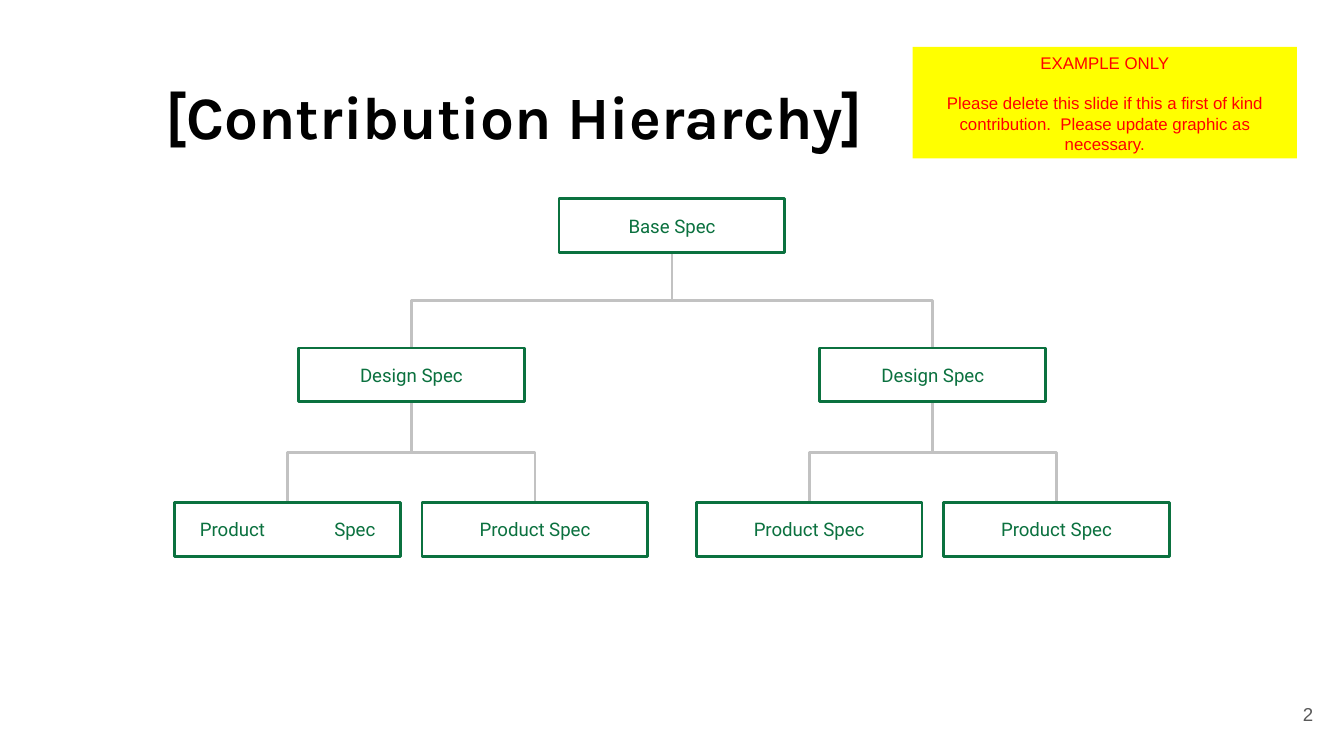
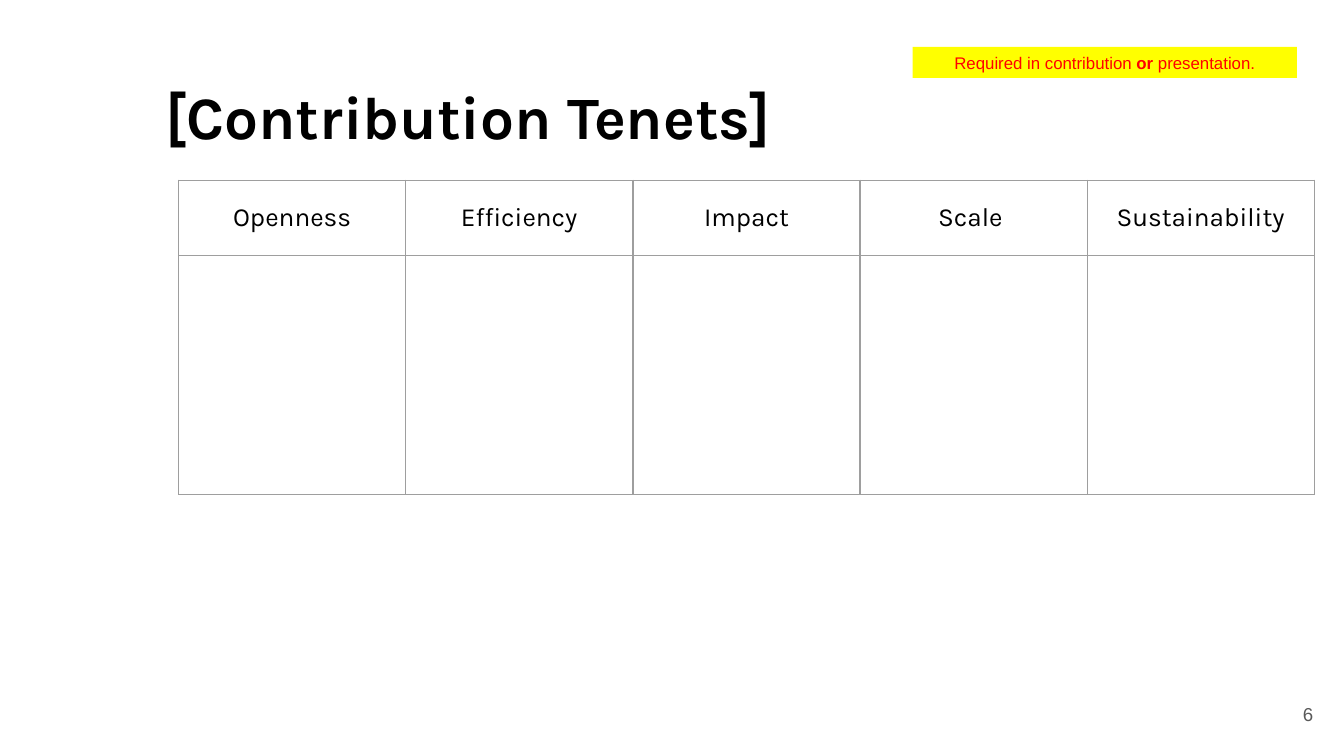
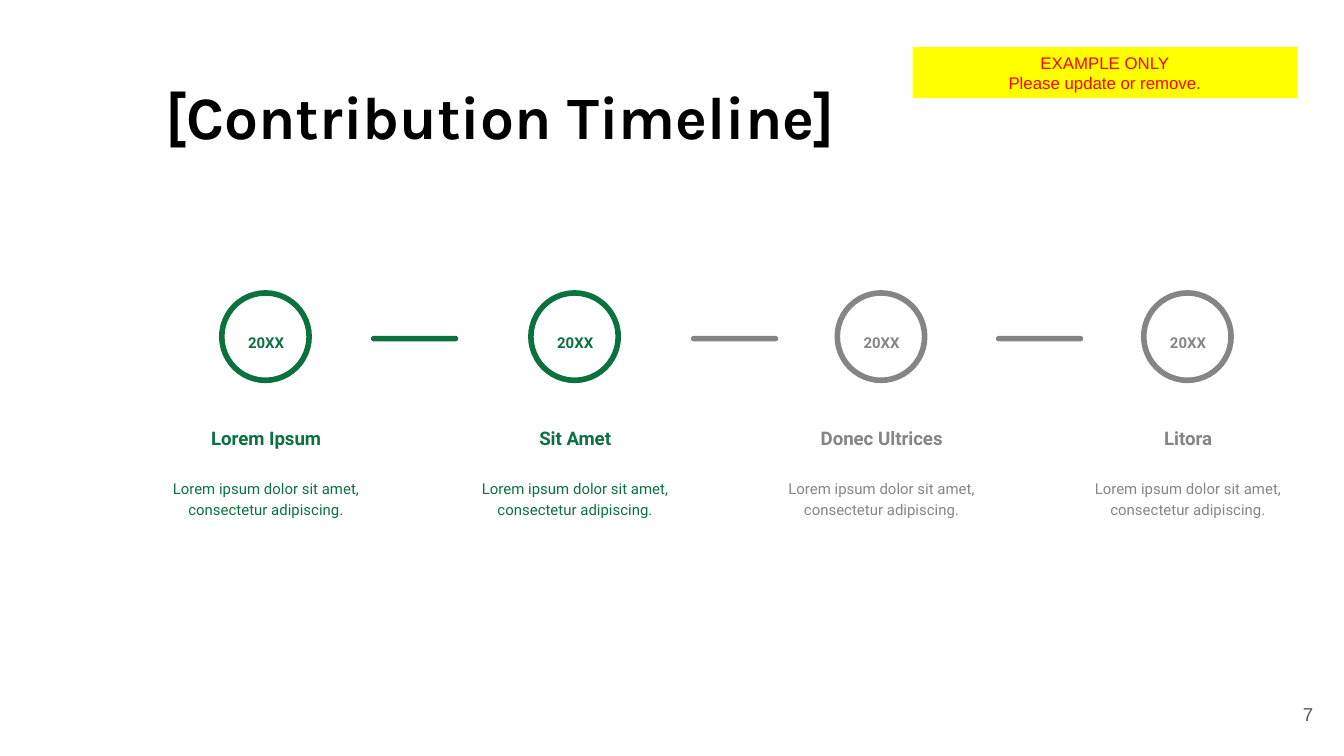
from lxml import etree
from pptx import Presentation
from pptx.dml.color import RGBColor
from pptx.enum.shapes import MSO_CONNECTOR, MSO_SHAPE
from pptx.enum.text import MSO_ANCHOR, MSO_AUTO_SIZE, PP_ALIGN
from pptx.oxml.ns import qn
from pptx.util import Inches, Pt

RECT, OVAL, PILL = MSO_SHAPE.RECTANGLE, MSO_SHAPE.OVAL, MSO_SHAPE.ROUNDED_RECTANGLE
ELBOW = MSO_CONNECTOR.ELBOW
LEFT, CENTER, RIGHT = PP_ALIGN.LEFT, PP_ALIGN.CENTER, PP_ALIGN.RIGHT
TOP, MIDDLE, BOTTOM = MSO_ANCHOR.TOP, MSO_ANCHOR.MIDDLE, MSO_ANCHOR.BOTTOM
NO_FIT, GROW = MSO_AUTO_SIZE.NONE, MSO_AUTO_SIZE.SHAPE_TO_FIT_TEXT

COLORS = {
    "black": "000000", "green": "0B713F", "gray": "858585", "link": "C2C2C2",
    "border": "9E9E9E", "number": "595959", "yellow": "FFFF00", "red": "FF0000",
}
TITLE_FONT, BODY_FONT, NOTE_FONT = "Karla", "Roboto", "Arial"


# Shared helpers
def rgb(name):
    return RGBColor.from_string(COLORS[name])


def place(sp, x, y, w, h):
    sp.left, sp.top, sp.width, sp.height = (Inches(v) for v in (x, y, w, h))


def set_frame(tf, anchor=TOP, inset=0.1, fit=NO_FIT):
    tf.word_wrap = True
    tf.auto_size = fit
    tf.vertical_anchor = anchor
    tf.margin_left = tf.margin_right = Inches(inset)
    tf.margin_top = tf.margin_bottom = Inches(inset)


def style(p, font, size, color, align=CENTER, bold=False):
    p.alignment = align
    p.font.name, p.font.size, p.font.bold = font, Pt(size), bold
    p.font.color.rgb = rgb(color)


def add_text(shapes, text, box, font, size, color, align=CENTER, anchor=TOP, bold=False):
    sp = shapes.add_textbox(*(Inches(v) for v in box))
    set_frame(sp.text_frame, anchor)
    p = sp.text_frame.paragraphs[0]
    p.text = text
    style(p, font, size, color, align, bold)
    return p


def add_shape(shapes, kind, box, fill=None, line=None, width=1.5):
    sp = shapes.add_shape(kind, *(Inches(v) for v in box))
    sp.shadow.inherit = False
    if fill:
        sp.fill.solid()
        sp.fill.fore_color.rgb = rgb(fill)
    else:
        sp.fill.background()
    if line:
        sp.line.color.rgb = rgb(line)
        sp.line.width = Pt(width)
    else:
        sp.line.fill.background()
    return sp


def add_slide(prs, title, number):
    s = prs.slides.add_slide(prs.slide_layouts[5])
    place(s.shapes.title, 1.13, 0.49, 8.53, 0.63)
    tf = s.shapes.title.text_frame
    set_frame(tf)
    p = tf.paragraphs[0]
    p.text = title
    style(p, TITLE_FONT, 32.2, "black", LEFT, True)
    add_text(s.shapes, number, (9.27, 5.1, 0.6, 0.43), NOTE_FONT, 10, "number", RIGHT, MIDDLE)
    return s


def add_note(s, height, paragraphs, gap=0):
    """Yellow note; each paragraph is a list of (text, bold) runs."""
    sp = add_shape(s.shapes, RECT, (6.79, 0.35, 2.86, height), fill="yellow")
    tf = sp.text_frame
    set_frame(tf, inset=0.04, fit=GROW)
    for i, runs in enumerate(paragraphs):
        p = tf.add_paragraph() if i else tf.paragraphs[0]
        if i and gap:
            p.space_before = Pt(gap)
        style(p, NOTE_FONT, 9, "red")
        for text, bold in runs:
            r = p.add_run()
            r.text = text
            if bold:
                r.font.bold = True


# Hierarchy
def add_node(s, text, center, y, w=1.68, h=0.4):
    sp = add_shape(s.shapes, RECT, (center - w / 2, y, w, h), line="green")
    set_frame(sp.text_frame, MIDDLE)
    p = sp.text_frame.paragraphs[0]
    p.text = text
    if "\t" in text:
        tabs = etree.SubElement(p._p.get_or_add_pPr(), qn("a:tabLst"))
        etree.SubElement(tabs, qn("a:tab"), pos=str(Inches(1)), algn="l")
    style(p, BODY_FONT, 10, "green")
    return sp


def link_nodes(s, parent, child):
    """Elbow that leaves the parent downwards: a turned box around its centre."""
    c = s.shapes.add_connector(ELBOW, 0, 0, 0, 0)
    c.begin_connect(parent, 2)
    c.end_connect(child, 0)
    x1, y1 = parent.left + parent.width // 2, parent.top + parent.height
    x2, y2 = child.left + child.width // 2, child.top
    c.width, c.height = y2 - y1, abs(x2 - x1)
    c.left = (x1 + x2 - c.width) // 2
    c.top = (y1 + y2 - c.height) // 2
    to_right = x2 > x1
    xfrm = c._element.spPr.find(qn("a:xfrm"))
    xfrm.set("rot", "16200000" if to_right else "5400000")
    xfrm.set("flipH", "1" if to_right else "0")
    xfrm.set("flipV", "0")
    c.line.color.rgb = rgb("link")
    c.line.width = Pt(1.5)
    etree.SubElement(c._element.spPr, qn("a:effectLst"))
    # Links lie behind the nodes
    parent_tree = c._element.getparent()
    parent_tree.insert(parent_tree.index(s.shapes.title._element) + 1, c._element)


def hierarchy_slide(prs):
    s = add_slide(prs, "[Contribution Hierarchy]", "2")
    middle, design_offset, product_offset = 5, 1.94, 0.92
    base = add_node(s, "Base Spec", middle, 1.48)
    for side in (-1, 1):
        x = middle + side * design_offset
        design = add_node(s, "Design Spec", x, 2.59)
        link_nodes(s, base, design)
        for turn in (-1, 1):
            text = "Product\tSpec" if side == turn == -1 else "Product Spec"
            product = add_node(s, text, x + turn * product_offset, 3.74)
            link_nodes(s, design, product)
    add_note(s, 0.83, [
        [("EXAMPLE ONLY", False)],
        [("Please delete this slide if this a first of kind contribution.  "
          "Please update graphic as necessary.", False)],
    ], gap=11)


# Tenets
def set_borders(cell):
    tcPr = cell._tc.get_or_add_tcPr()
    for i, side in enumerate(("a:lnL", "a:lnR", "a:lnT", "a:lnB")):
        ln = etree.Element(qn(side), w=str(Pt(0.75)))
        fill = etree.SubElement(ln, qn("a:solidFill"))
        etree.SubElement(fill, qn("a:srgbClr"), val=COLORS["border"])
        tcPr.insert(i, ln)


def add_tenets(s, x, y, names, col_width=1.69, row_heights=(0.56, 1.78)):
    table = s.shapes.add_table(
        len(row_heights), len(names), Inches(x), Inches(y),
        Inches(col_width * len(names)), Inches(sum(row_heights))).table
    table.first_row = table.horz_banding = False
    for col in table.columns:
        col.width = Inches(col_width)
    for row, height in zip(table.rows, row_heights):
        row.height = Inches(height)
    for cell in table.iter_cells():
        cell.fill.background()
        cell.margin_left = cell.margin_right = Inches(0.1)
        cell.margin_top = cell.margin_bottom = Inches(0.1)
        set_borders(cell)
    for i, name in enumerate(names):
        cell = table.cell(0, i)
        cell.vertical_anchor = MIDDLE
        p = cell.text_frame.paragraphs[0]
        p.text = name
        style(p, TITLE_FONT, 14, "black")


def tenets_slide(prs):
    s = add_slide(prs, "[Contribution Tenets]", "6")
    add_note(s, 0.23, [[("Required in contribution ", False), ("or", True),
                        (" presentation.", False)]])
    add_tenets(s, 1.33, 1.34, ["Openness", "Efficiency", "Impact", "Scale ", "Sustainability"])


# Timeline
def add_stage(s, center, y, name, color):
    shapes = s.shapes.add_group_shape().shapes
    add_shape(shapes, OVAL, (center - 0.33, y, 0.65, 0.65), line=color, width=3)
    parts = [
        ("20XX", 0.48, 0.18, 0.35, 8, TOP, True),
        (name, 1.87, 0.77, 0.49, 10, BOTTOM, True),
        ("Lorem ipsum dolor sit amet, consectetur adipiscing.", 1.87, 1.27, 0.81, 8, TOP, False),
    ]
    for text, w, dy, h, size, anchor, bold in parts:
        p = add_text(shapes, text, (center - w / 2, y + dy, w, h),
                     BODY_FONT, size, color, anchor=anchor, bold=bold)
        p.line_spacing = 1.15


def timeline_slide(prs):
    s = add_slide(prs, "[Contribution Timeline]", "7")
    add_note(s, 0.38, [[("EXAMPLE ONLY", False)], [("Please update or remove.", False)]])
    # Name, colour, centre, left edge of the bar that leads to the stage
    stages = [
        ("Lorem Ipsum", "green", 1.98, None),
        ("Sit Amet", "green", 4.28, 2.76),
        ("Donec Ultrices", "gray", 6.56, 5.14),
        ("Litora", "gray", 8.84, 7.41),
    ]
    for name, color, center, bar_x in stages:
        add_stage(s, center, 2.18, name, color)
        if bar_x:
            bar = add_shape(s.shapes, PILL, (bar_x, 2.5, 0.65, 0.04), fill=color)
            bar.adjustments[0] = 0.5


def main():
    prs = Presentation()
    prs.slide_width = Inches(10)
    prs.slide_height = prs.slide_width * 9 // 16
    hierarchy_slide(prs)
    tenets_slide(prs)
    timeline_slide(prs)
    prs.save("out.pptx")


if __name__ == "__main__":
    main()
